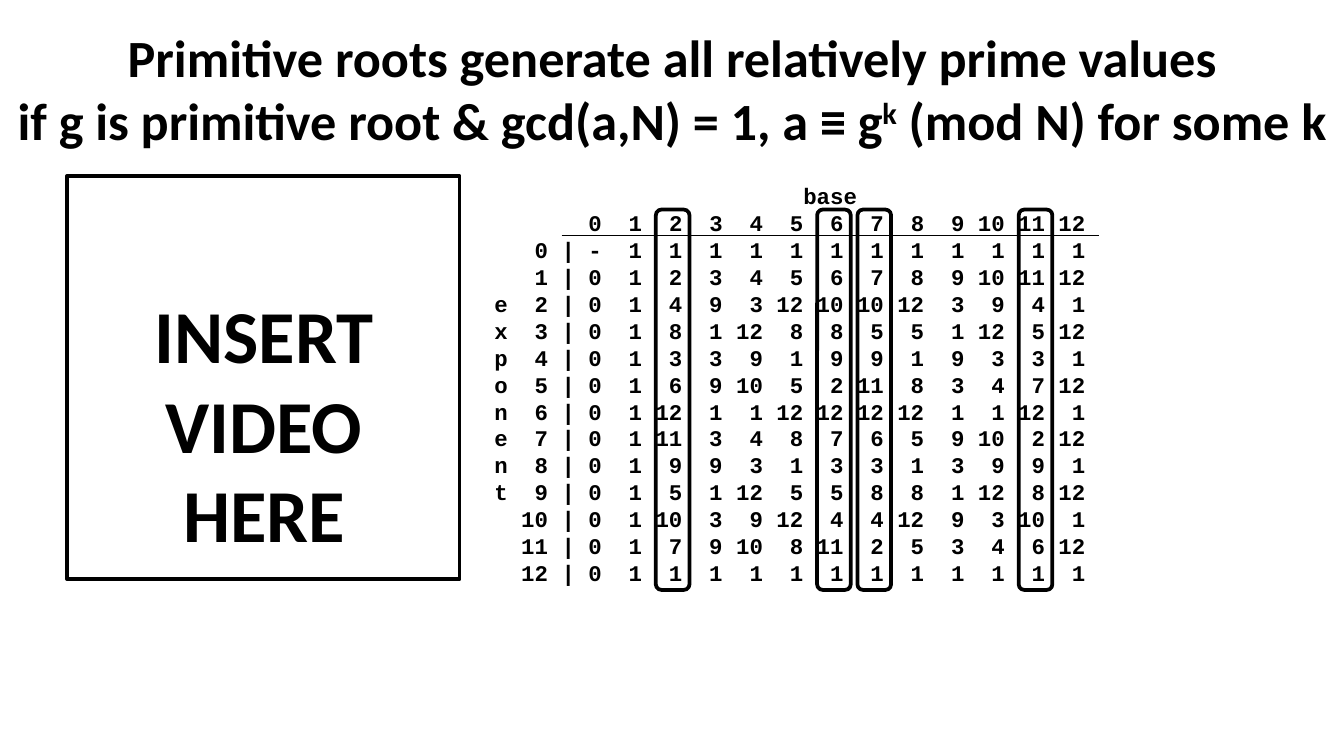
from dataclasses import dataclass

from pptx import Presentation
from pptx.dml.color import RGBColor
from pptx.enum.shapes import MSO_SHAPE as Shape
from pptx.enum.text import MSO_ANCHOR as Anchor, MSO_AUTO_SIZE as AutoSize, PP_ALIGN as Align
from pptx.util import Inches, Pt


@dataclass(frozen=True)
class Theme:
    ink: RGBColor = RGBColor(0, 0, 0)
    heading_font: str = "Calibri"
    listing_font: str = "Courier New"
    title_size: int = 28
    video_size: int = 40
    listing_size: int = 12
    line_width: int = 2


@dataclass(frozen=True)
class Box:
    left: float
    top: float
    width: float
    height: float

    def lengths(self) -> tuple:
        return tuple(Inches(n) for n in (self.left, self.top, self.width, self.height))


THEME = Theme()
MODULUS = 13
BASES = range(MODULUS)
EXPONENT_LETTERS = "  exponent   "
FIRST_HIGHLIGHT_LEFT = 4.28
BASE_STEP = 0.3


def is_primitive_root(base: int) -> bool:
    return len({pow(base, k, MODULUS) for k in range(1, MODULUS)}) == MODULUS - 1


def power_text(base: int, exponent: int) -> str:
    return "-" if base == exponent == 0 else str(pow(base, exponent, MODULUS))


def listing_row(letter: str, exponent: int) -> str:
    first, *others = (power_text(base, exponent) for base in BASES)
    return f"{letter}{exponent:>3} | {first}" + "".join(f"{power:>3}" for power in others)


def style(paragraph, font_name: str, size: int) -> None:
    font = paragraph.font
    font.name, font.size, font.bold = font_name, Pt(size), True
    font.color.rgb = THEME.ink


def add_text_frame(shapes, box: Box, wrap: bool = True):
    frame = shapes.add_textbox(*box.lengths()).text_frame
    frame.word_wrap = wrap
    return frame


def add_outline(shapes, kind: Shape, box: Box) -> None:
    shape = shapes.add_shape(kind, *box.lengths())
    shape.shadow.inherit = False
    shape.fill.background()
    shape.line.color.rgb = THEME.ink
    shape.line.width = Pt(THEME.line_width)


def add_title(shapes) -> None:
    frame = add_text_frame(shapes, Box(0, 0, 10, 1.31))
    frame.vertical_anchor = Anchor.MIDDLE
    paragraph = frame.paragraphs[0]
    paragraph.alignment = Align.CENTER
    paragraph.add_run().text = "Primitive roots generate all relatively prime values"
    paragraph.add_line_break()
    paragraph.add_run().text = "if g is primitive root & gcd(a,N) = 1, a ≡ g"
    power = paragraph.add_run()
    power.text = "k"
    power._r.get_or_add_rPr().set("baseline", "30000")
    paragraph.add_run().text = " (mod N) for some k"
    style(paragraph, THEME.heading_font, THEME.title_size)


def add_video_area(shapes) -> None:
    group = shapes.add_group_shape()
    add_outline(group.shapes, Shape.RECTANGLE, Box(0.5, 1.31, 2.92, 3))
    frame = add_text_frame(group.shapes, Box(1.04, 2.1, 1.85, 2.12), wrap=False)
    frame.auto_size = AutoSize.SHAPE_TO_FIT_TEXT
    frame.text = "INSERT\nVIDEO\nHERE"
    for paragraph in frame.paragraphs:
        paragraph.alignment = Align.CENTER
        style(paragraph, THEME.heading_font, THEME.video_size)


def add_power_listing(shapes) -> None:
    frame = add_text_frame(shapes, Box(3.58, 1.31, 6.42, 3.13))
    frame.auto_size = AutoSize.SHAPE_TO_FIT_TEXT
    frame.text = f"{'base':>27}"

    header = frame.add_paragraph()
    header.add_run().text = f"{'':5}"
    bases = header.add_run()
    bases.text = "".join(f"{base:>3}" for base in BASES) + " "
    bases.font.underline = True

    for exponent, letter in enumerate(EXPONENT_LETTERS):
        frame.add_paragraph().text = listing_row(letter, exponent)

    for paragraph in frame.paragraphs:
        style(paragraph, THEME.listing_font, THEME.listing_size)


def add_root_highlights(shapes) -> None:
    for base in filter(is_primitive_root, BASES):
        left = FIRST_HIGHLIGHT_LEFT + base * BASE_STEP
        add_outline(shapes, Shape.ROUNDED_RECTANGLE, Box(left, 1.56, 0.25, 2.83))


def main() -> None:
    presentation = Presentation()
    presentation.slide_width = Inches(10)
    presentation.slide_height = Inches(10 * 9 / 16)
    shapes = presentation.slides.add_slide(presentation.slide_layouts[6]).shapes
    add_title(shapes)
    add_video_area(shapes)
    add_power_listing(shapes)
    add_root_highlights(shapes)
    presentation.save("out.pptx")


if __name__ == "__main__":
    main()
